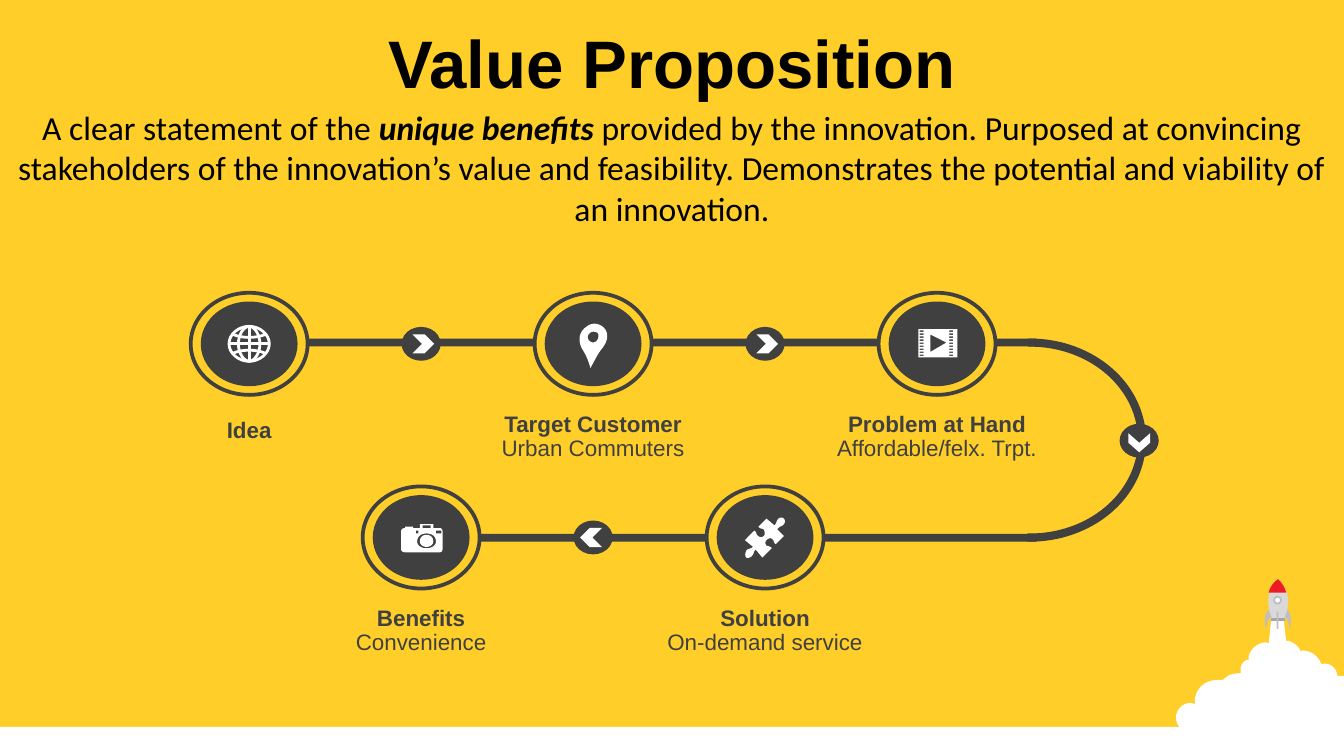
"""Build the Value Proposition slide: a five-step path with icons and a rocket."""
from dataclasses import dataclass

from pptx import Presentation
from pptx.dml.color import RGBColor
from pptx.enum.shapes import MSO_SHAPE
from pptx.enum.text import MSO_ANCHOR, MSO_AUTO_SIZE, PP_ALIGN
from pptx.oxml.ns import qn
from pptx.util import Cm, Pt

ELLIPSE, RECTANGLE = MSO_SHAPE.OVAL, MSO_SHAPE.RECTANGLE
CHEVRON, BLOCK_ARC = MSO_SHAPE.CHEVRON, MSO_SHAPE.BLOCK_ARC
CENTER, MIDDLE, NO_FIT = PP_ALIGN.CENTER, MSO_ANCHOR.MIDDLE, MSO_AUTO_SIZE.NONE
YELLOW, DARK, WHITE, BLACK = "FFCE29", "404040", "FFFFFF", "000000"
SILVER, STEEL, GREY, RED = "BFBFBF", "A6A6A6", "D9D9D9", "ED1C24"
OUTLINE_UNIT = Cm(2.54) / 100
CURVE_STEPS = 8
FIRST_X, STEP_X = 4.71, 6.5
TOP_Y, BOTTOM_Y = 6.5, 10.16
TRACK = 0.15


@dataclass
class Node:
    column: float
    y: float
    title: str
    detail: str
    icon: str
    stroked: bool = False


@dataclass
class Arrow:
    x: float
    y: float
    turn: int
    dx: float = 0
    dy: float = 0


@dataclass
class Phrase:
    text: str
    font: str
    size: int
    color: str
    bold: bool = False
    italic: bool = False


def rgb(value: str) -> RGBColor:
    return RGBColor.from_string(value)


def paint(shape, fill: str | None, line: str | None = None, width: float = 1):
    shape.shadow.inherit = False
    if fill:
        shape.fill.solid()
        shape.fill.fore_color.rgb = rgb(fill)
    else:
        shape.fill.background()
    if line:
        shape.line.color.rgb = rgb(line)
        shape.line.width = Pt(width)
    else:
        shape.line.fill.background()
    return shape


def add_preset(slide, kind, x: float, y: float, width: float, height: float,
               fill: str, line: str | None = None, line_width: float = 1):
    shape = slide.shapes.add_shape(kind, Cm(x), Cm(y), Cm(width), Cm(height))
    return paint(shape, fill, line, line_width)


def add_centred(slide, kind, x: float, y: float, width: float, height: float,
                fill: str, line: str | None = None, line_width: float = 1):
    return add_preset(slide, kind, x - width / 2, y - height / 2,
                      width, height, fill, line, line_width)


def trace(contour: str) -> list[tuple[float, float]]:
    points = []
    for step in contour.split(","):
        numbers = [float(n) * OUTLINE_UNIT for n in step.split()]
        if len(numbers) == 2:
            points.append(tuple(numbers))
            continue
        controls = [points[-1], *zip(numbers[::2], numbers[1::2])]
        for i in range(1, CURVE_STEPS + 1):
            t = i / CURVE_STEPS
            weights = ((1 - t) ** 3, 3 * t * (1 - t) ** 2, 3 * t * t * (1 - t), t ** 3)
            points.append(tuple(sum(w * p[axis] for w, p in zip(weights, controls))
                                for axis in (0, 1)))
    return points


def add_outline(slide, outline: str, color: str, x: float = 0, y: float = 0,
                stroked: bool = False) -> None:
    contours = [trace(contour) for contour in outline.split("/")]
    builder = slide.shapes.build_freeform(*contours[0][0])
    for index, points in enumerate(contours):
        if index:
            builder.move_to(*points[0])
        builder.add_line_segments(points[1:], close=not stroked)
    shape = builder.convert_to_shape(Cm(x), Cm(y))
    paint(shape, None if stroked else color, color if stroked else None, 1.5)


def box(left: float, top: float, right: float, bottom: float) -> str:
    return f"{left} {top}, {right} {top}, {right} {bottom}, {left} {bottom}"


def write(frame, phrases: list[Phrase]) -> None:
    frame.word_wrap = True
    paragraph = frame.paragraphs[0]
    paragraph.alignment = CENTER
    for phrase in phrases:
        run = paragraph.add_run()
        run.text = phrase.text
        run.font.name, run.font.size = phrase.font, Pt(phrase.size)
        run.font.bold, run.font.italic = phrase.bold, phrase.italic
        run.font.color.rgb = rgb(phrase.color)


def fill_placeholder(holder, top: float, height: float, phrases: list[Phrase]):
    holder.left, holder.top, holder.width, holder.height = Cm(0), Cm(top), Cm(25.4), Cm(height)
    write(holder.text_frame, phrases)
    holder.text_frame.auto_size = NO_FIT
    holder.text_frame.vertical_anchor = MIDDLE
    return holder.text_frame.paragraphs[0]


def add_caption(slide, x: float, y: float, text: str, bold: bool) -> None:
    caption = slide.shapes.add_textbox(Cm(x - 2.45), Cm(y), Cm(4.9), Cm(0.76))
    write(caption.text_frame, [Phrase(text, "Arial", 12, DARK, bold)])


def add_node(slide, node: Node) -> None:
    x = FIRST_X + node.column * STEP_X
    add_centred(slide, ELLIPSE, x, node.y, 2.21, 1.93, YELLOW, DARK, 2)
    add_centred(slide, ELLIPSE, x, node.y, 1.83, 1.6, DARK)
    add_outline(slide, node.icon, WHITE, x, node.y, node.stroked)
    add_caption(slide, x, node.y + (1.13 if node.detail else 1.25), node.title, True)
    if node.detail:
        add_caption(slide, x, node.y + 1.59, node.detail, False)


def add_arrow(slide, arrow: Arrow) -> None:
    add_centred(slide, ELLIPSE, arrow.x, arrow.y, 0.74, 0.64, DARK)
    width, height = (0.36, 0.41) if arrow.turn == 90 else (0.41, 0.36)
    chevron = add_centred(slide, CHEVRON, arrow.x + arrow.dx, arrow.y + arrow.dy,
                          width, height, WHITE)
    chevron.rotation = arrow.turn


GLOBE = ("-15 0, -15 -7 -8 -13 0 -13, 8 -13 15 -7 15 0, 15 7 8 13 0 13, -8 13 -15 7 -15 0"
         "/-8 0, -8 -7 -4 -13 0 -13, 4 -13 8 -7 8 0, 8 7 4 13 0 13, -4 13 -8 7 -8 0"
         "/0 -13, 0 13/-15 0, 15 0/-12 -7, -5 -4 5 -4 12 -7/-12 7, -5 4 5 4 12 7")
PIN = ("1 -15, 3 -15 6 -14 8 -12, 12 -8 11 -2 7 3, 3 8 2 11 -2 18, -4 11 -5 9 -8 4,"
       "-11 -1 -11 -7 -7 -11, -5 -13 -2 -15 1 -15"
       "/0 -9, -2 -9 -4 -7 -4 -5, -4 -3 -2 -1 0 -1, 2 -1 4 -3 4 -6, 4 -8 3 -9 0 -9")
FILM = "/".join([box(-14, -11, 15, 10), "-5 -7, -5 6, 7 -1"]
                + [box(left, -10 + 2.25 * row, left + 3, -9 + 2.25 * row)
                   for row in range(9) for left in (-13, 9)])
PUZZLE = ("14 -14, 15 -13 15 -11 14 -10, 13 -8 11 -9 9 -6, 14 -1, 8 5, 6 4 7 2 5 1,"
          "4 0 2 1 1 2, 0 3 0 5 1 6, 3 7 3 6 5 8, -2 15, -7 9, -9 11 -8 12 -10 14,"
          "-12 16 -14 15 -14 15, -15 14 -15 12 -14 10, -13 8 -11 9 -9 7, -15 2, -8 -5,"
          "-6 -4 -7 -2 -5 -1, -4 0 -2 0 -1 -1, 0 -2 0 -4 -1 -6, -3 -7 -3 -6 -5 -8, 1 -14,"
          "7 -9, 9 -11 8 -12 10 -14, 11 -15 13 -15 14 -14")
CAMERA = "/".join([
    "-1 -10, 9 -10, 9 -7, 14 -7, 15 -7 16 -6 16 -4, 16 8, 16 10 15 11 14 11, -12 11,"
    "-14 11 -15 10 -15 8, -15 -4, -15 -6 -14 -7 -12 -7, -12 -8, -6 -8, -6 -7, -1 -7",
    "4 -3, 0 -3 -3 -1 -3 3, -3 6 0 8 4 8, 8 8 11 6 11 3, 11 -1 8 -3 4 -3",
    "4 -2, 7 -2 9 0 9 3, 9 5 7 7 4 7, 1 7 -1 5 -1 3, -1 0 1 -2 4 -2",
    box(-4, -5, -2, -3), box(11, -5, 15, -3), box(1, -9, 7, -7)])
SMOKE = ("946 459, 955 459, 957 477, 959 477, 962 478 965 480 967 483, 968 485, 969 484,"
         "975 484 981 488 983 494, 984 494, 990 493 994 497 995 502, 995 503, 1000 503,"
         "1000 561, 934 561, 923 561 917 556 913 551, 911 553 907 554 904 553,"
         "900 552 894 550 893 545, 892 544, 891 545 889 545 886 545, 880 545 875 540 875 534,"
         "875 528 880 523 886 523, 889 524, 889 522, 889 513 896 506 906 506, 910 506, 911 505,"
         "914 502 918 501 923 501, 923 498, 923 495 925 492 928 491, 929 491, 929 489,"
         "930 483 936 478 942 478, 944 479")
ROCKET = [
    (SMOKE, WHITE),
    ("946 462, 944 453 940 440 951 431, 962 441 958 454 956 462", GREY),
    (box(946, 460, 956, 462), STEEL),
    ("951 431, 954 434 956 437 957 441, 944 441, 945 437 947 434 951 431", RED),
    ("944 454, 946 459, 942 461 943 466 942 468, 941 465 940 457 944 454", SILVER),
    ("958 454, 956 459, 959 461 959 466 960 468, 960 465 962 457 958 454", SILVER),
]
NODES = [
    Node(0, TOP_Y, "Idea", "", GLOBE, True),
    Node(1, TOP_Y, "Target Customer", "Urban Commuters", PIN),
    Node(2, TOP_Y, "Problem at Hand", "Affordable/felx. Trpt.", FILM),
    Node(0.5, BOTTOM_Y, "Benefits", "Convenience", CAMERA),
    Node(1.5, BOTTOM_Y, "Solution", "On-demand service", PUZZLE),
]
ARROWS = [
    Arrow(FIRST_X + 0.5 * STEP_X, TOP_Y, 0, dx=0.04),
    Arrow(FIRST_X + 1.5 * STEP_X, TOP_Y, 0, dx=0.04),
    Arrow(FIRST_X + STEP_X, BOTTOM_Y, 180, dx=-0.04),
    Arrow(21.53, (TOP_Y + BOTTOM_Y) / 2, 90, dy=0.04),
]


def main() -> None:
    deck = Presentation()
    deck.slide_width, deck.slide_height = Cm(25.4), Cm(14.29)
    slide = deck.slides.add_slide(deck.slide_layouts[1])
    slide.background.fill.solid()
    slide.background.fill.fore_color.rgb = rgb(YELLOW)

    heading = fill_placeholder(slide.shapes.title, 0.36, 1.6, [
        Phrase("Value Proposition", "Arial", 36, BLACK, bold=True)])
    heading.space_before = Pt(7)
    statement = fill_placeholder(slide.placeholders[1], 2.34, 1.65, [
        Phrase("A clear statement of the ", "Calibri", 18, BLACK),
        Phrase("unique benefits ", "Calibri", 18, BLACK, bold=True, italic=True),
        Phrase("provided by the innovation. Purposed at convincing stakeholders of the "
               "innovation’s value and feasibility. Demonstrates the potential and "
               "viability of an innovation.", "Calibri", 18, BLACK)])
    properties = statement._p.get_or_add_pPr()
    properties.set("marL", "0")
    properties.set("indent", "0")
    properties.append(properties.makeelement(qn("a:buNone"), {}))

    add_preset(slide, RECTANGLE, 0, 13.74, 25.4, 0.55, WHITE)
    for outline, color in ROCKET:
        add_outline(slide, outline, color)
    add_preset(slide, ELLIPSE, 24.08, 11.28, 0.13, 0.13, WHITE, SILVER)
    add_preset(slide, RECTANGLE, 24.13, 11.56, 0.03, 0.33, SILVER)

    bend = add_preset(slide, BLOCK_ARC, 17.27, 6.4, 4.39, 3.84, DARK)
    for index, value in enumerate((161.27, 54.9, 0.04)):
        bend.adjustments[index] = value
    add_preset(slide, RECTANGLE, 4.67, 6.4, 14.91, TRACK, DARK)
    add_preset(slide, RECTANGLE, 7.21, 10.09, 12.37, TRACK, DARK)
    for node in NODES:
        add_node(slide, node)
    for arrow in ARROWS:
        add_arrow(slide, arrow)
    deck.save("out.pptx")


if __name__ == "__main__":
    main()
